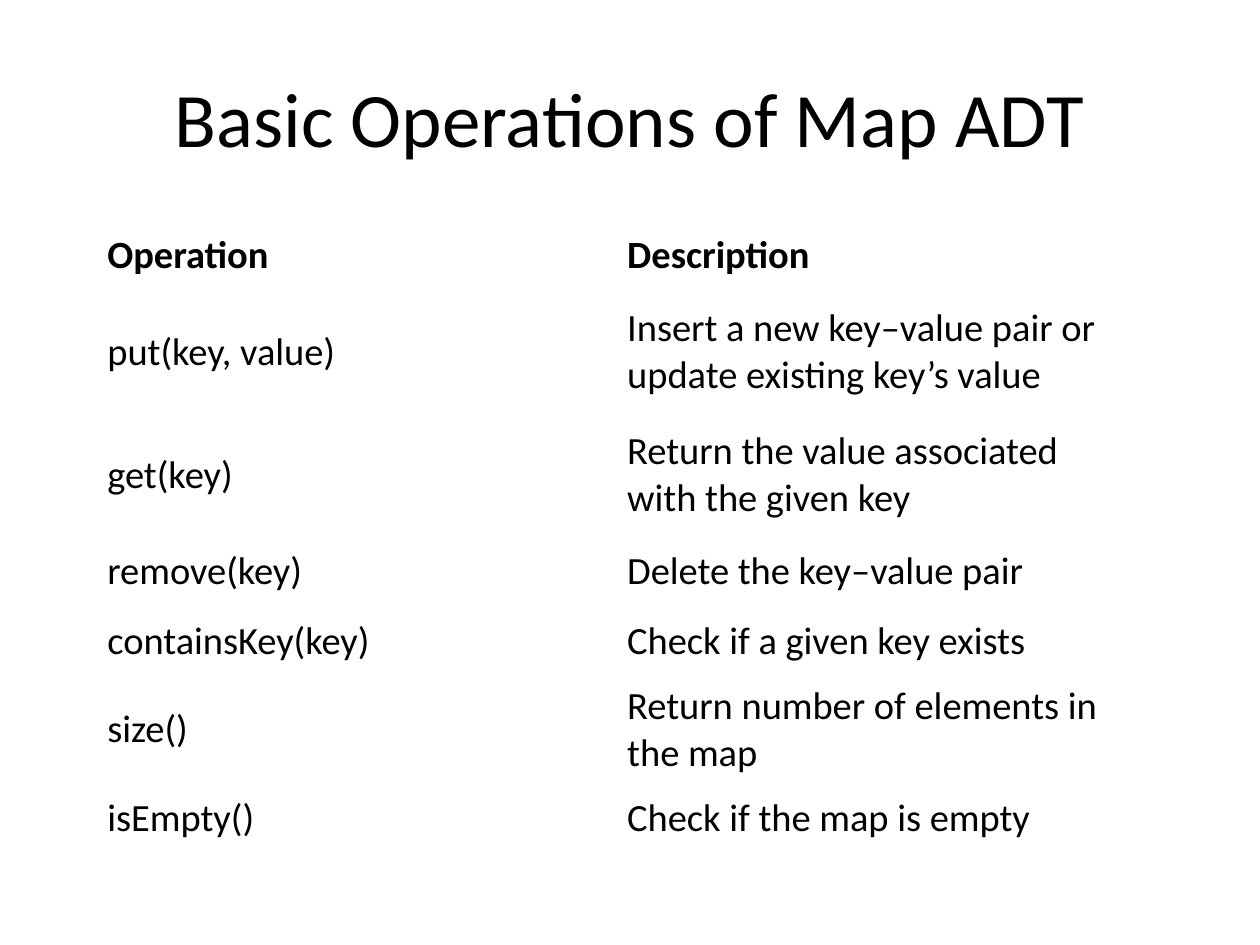
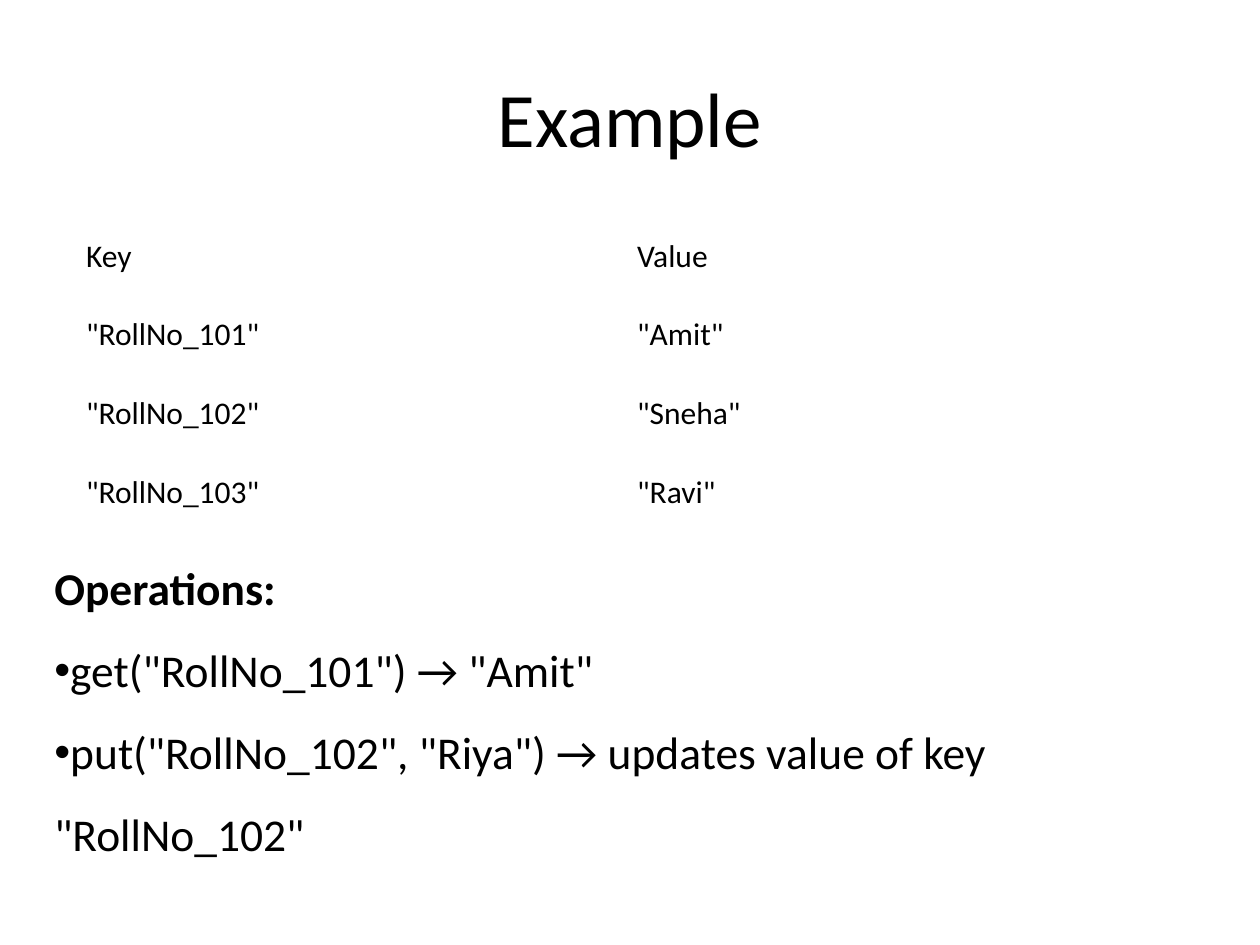
"""Build two slides on the operations of the Map ADT, with an example."""
from dataclasses import dataclass

from lxml import etree
from pptx import Presentation
from pptx.dml.color import RGBColor
from pptx.enum.text import MSO_ANCHOR, MSO_AUTO_SIZE, PP_ALIGN
from pptx.oxml.ns import qn
from pptx.util import Cm, Pt

MIDDLE, TOP = MSO_ANCHOR.MIDDLE, MSO_ANCHOR.TOP
NO_AUTOFIT = MSO_AUTO_SIZE.NONE
CENTER, LEFT = PP_ALIGN.CENTER, PP_ALIGN.LEFT
TITLE_AND_CONTENT, TITLE_ONLY = 1, 5
FONT = "Calibri"
BLACK = "000000"
TITLE_SIZE = 44


@dataclass(frozen=True)
class Box:
    """A position and size in centimetres."""
    left: float
    top: float
    width: float
    height: float


@dataclass(frozen=True)
class TableSpec:
    """The place, row heights, type and rows of one table."""
    left: float
    top: float
    column_width: float
    row_heights: tuple[float, ...]
    size: float
    bold_header: bool
    rows: tuple[tuple[str, str], ...]


@dataclass(frozen=True)
class Line:
    """One paragraph of a list."""
    text: str
    bold: bool = False
    bullet: bool = False


TITLE_BOX = Box(1.27, 0.76, 22.86, 3.18)
LIST_BOX = Box(0.84, 10.62, 24.13, 8.58)
LIST_SIZE = 26

SHORT, TALL = 1.41, 2.48
OPERATIONS = TableSpec(
    1.91, 4.45, 10.48, (SHORT, TALL, TALL, SHORT, SHORT, SHORT, SHORT), 22, True,
    (
        ("Operation", "Description"),
        ("put(key, value)", "Insert a new key–value pair or update existing key’s value"),
        ("get(key)", "Return the value associated with the given key"),
        ("remove(key)", "Delete the key–value pair"),
        ("containsKey(key)", "Check if a given key exists"),
        ("size()", "Return number of elements in the map"),
        ("isEmpty()", "Check if the map is empty"),
    ),
)
ENTRIES = TableSpec(
    1.48, 4.37, 11.11, (1.59,) * 4, 18, False,
    (
        ("Key", "Value"),
        ('"RollNo_101"', '"Amit"'),
        ('"RollNo_102"', '"Sneha"'),
        ('"RollNo_103"', '"Ravi"'),
    ),
)
EXAMPLE_LINES = (
    Line("Operations:", bold=True),
    Line('get("RollNo_101") → "Amit"', bullet=True),
    Line('put("RollNo_102", "Riya") → updates value of key "RollNo_102"', bullet=True),
)


def color(value: str) -> RGBColor:
    """Turn a hex string into a colour."""
    return RGBColor.from_string(value)


def add_run(paragraph, text: str, size: float, bold: bool = False) -> None:
    """Add one formatted run to a paragraph."""
    run = paragraph.add_run()
    run.text = text
    run.font.name = FONT
    run.font.size = Pt(size)
    run.font.bold = bold
    run.font.color.rgb = color(BLACK)


def place(shape, box: Box, anchor):
    """Move a placeholder and return its prepared text frame."""
    shape.left, shape.top = Cm(box.left), Cm(box.top)
    shape.width, shape.height = Cm(box.width), Cm(box.height)
    frame = shape.text_frame
    frame.word_wrap = True
    frame.auto_size = NO_AUTOFIT
    frame.vertical_anchor = anchor
    return frame


def add_slide(presentation, layout: int, title: str):
    """Add a slide with the shared title style."""
    slide = presentation.slides.add_slide(presentation.slide_layouts[layout])
    paragraph = place(slide.shapes.title, TITLE_BOX, MIDDLE).paragraphs[0]
    paragraph.alignment = CENTER
    add_run(paragraph, title, TITLE_SIZE)
    return slide


def add_plain_table(slide, spec: TableSpec) -> None:
    """Draw a table without fills or banding."""
    column_count = len(spec.rows[0])
    table = slide.shapes.add_table(
        len(spec.rows), column_count, Cm(spec.left), Cm(spec.top),
        Cm(spec.column_width * column_count), Cm(sum(spec.row_heights)),
    ).table
    table.first_row = False
    table.horz_banding = False
    for column in table.columns:
        column.width = Cm(spec.column_width)
    for row_index, (height, texts) in enumerate(zip(spec.row_heights, spec.rows)):
        table.rows[row_index].height = Cm(height)
        for column_index, text in enumerate(texts):
            cell = table.cell(row_index, column_index)
            cell.fill.background()
            cell.vertical_anchor = MIDDLE
            add_run(cell.text_frame.paragraphs[0], text, spec.size,
                    spec.bold_header and row_index == 0)


def set_bullet(paragraph, bullet: bool) -> None:
    """Remove the indent and switch the bullet on or off."""
    properties = paragraph._p.get_or_add_pPr()
    properties.set("marL", "0")
    properties.set("indent", "0")
    if bullet:
        etree.SubElement(properties, qn("a:buFont"), typeface="Arial")
        etree.SubElement(properties, qn("a:buChar"), char="•")
    else:
        etree.SubElement(properties, qn("a:buNone"))


def fill_list(shape, box: Box, lines: tuple[Line, ...]) -> None:
    """Write the lines into a body placeholder."""
    frame = place(shape, box, TOP)
    for index, line in enumerate(lines):
        paragraph = frame.add_paragraph() if index else frame.paragraphs[0]
        paragraph.alignment = LEFT
        paragraph.line_spacing = 1.5
        paragraph.space_before = Pt(0)
        set_bullet(paragraph, line.bullet)
        add_run(paragraph, line.text, LIST_SIZE, line.bold)


def main() -> None:
    """Build and save the presentation."""
    presentation = Presentation()
    presentation.slide_width, presentation.slide_height = Cm(25.4), Cm(19.05)

    operations_slide = add_slide(presentation, TITLE_ONLY, "Basic Operations of Map ADT")
    add_plain_table(operations_slide, OPERATIONS)

    example_slide = add_slide(presentation, TITLE_AND_CONTENT, "Example")
    add_plain_table(example_slide, ENTRIES)
    fill_list(example_slide.placeholders[1], LIST_BOX, EXAMPLE_LINES)

    presentation.save("out.pptx")


if __name__ == "__main__":
    main()
